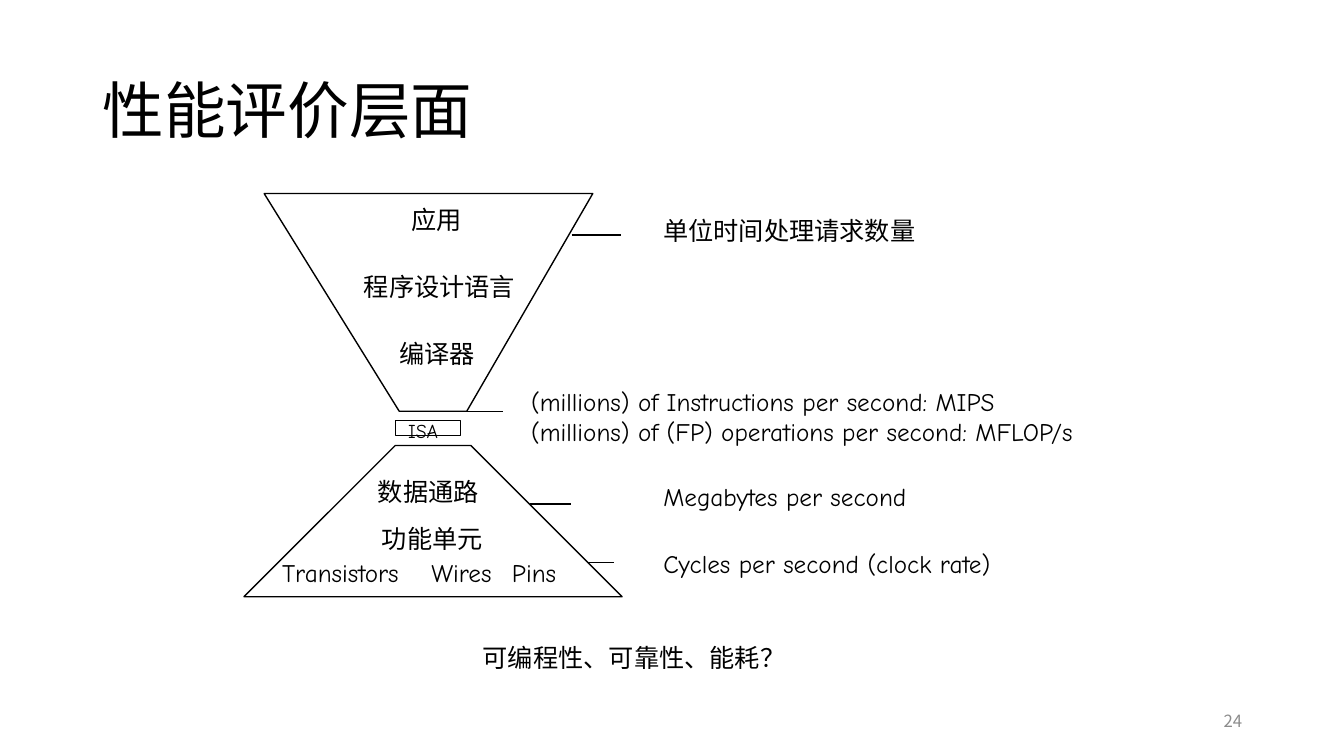
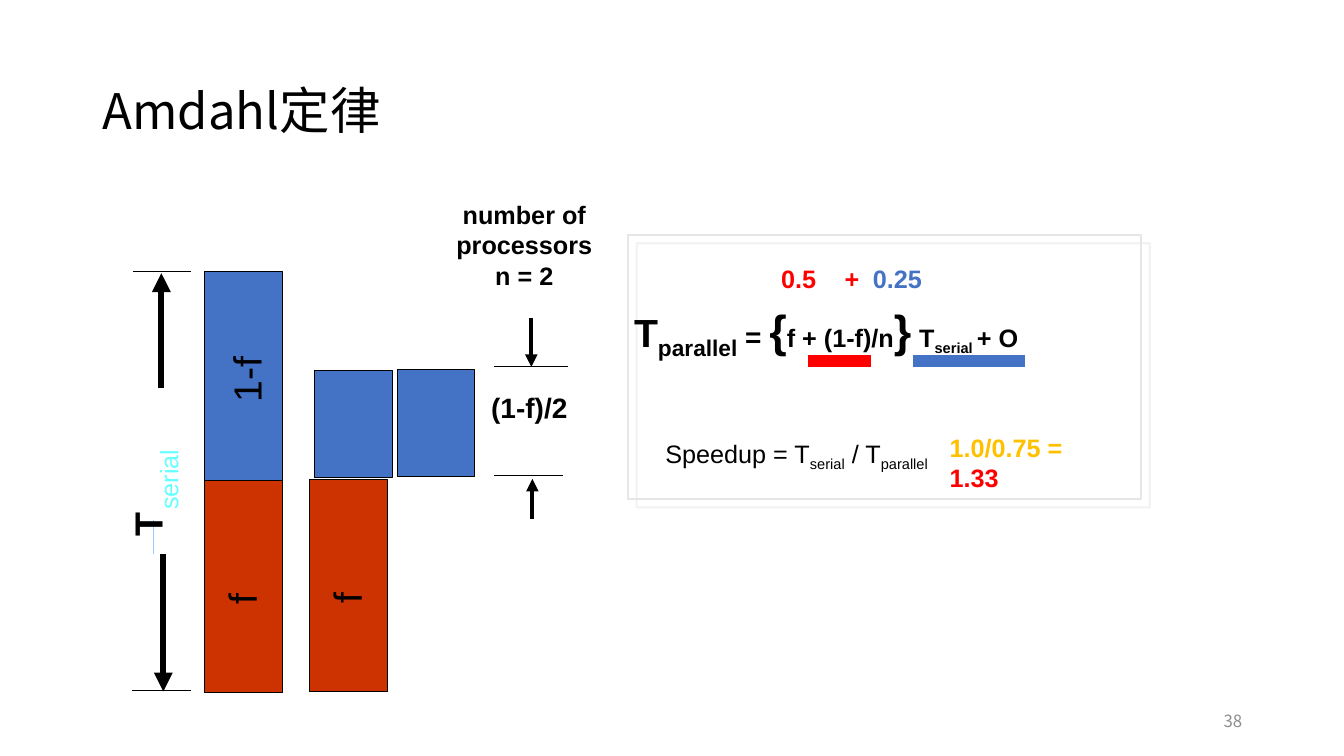
import pptx
import pptx.util
import pptx.dml.color
import pptx.enum.shapes
import pptx.enum.text
import pptx.oxml
import pptx.oxml.ns
from lxml import etree

Inches = pptx.util.Inches
Pt = pptx.util.Pt
qn = pptx.oxml.ns.qn
ALIGN = {
    "left": pptx.enum.text.PP_ALIGN.LEFT,
    "center": pptx.enum.text.PP_ALIGN.CENTER,
    "right": pptx.enum.text.PP_ALIGN.RIGHT,
}
BLACK, WHITE, GREY, PALE = "000000", "FFFFFF", "8C8C8C", "E7E6E6"
BLUE, RED, BRICK, GOLD = "4472C4", "FF0000", "CC3300", "FFC000"
CYAN, SKY = "66FFFF", "99CCFF"
CJK, COMIC, ARIAL = "Noto Sans CJK SC", "Comic Neue", "Arial"

LEVEL_OUTLINES = [
    [(3.92, 4.42), (2.42, 5.92), (6.17, 5.92), (4.67, 4.42)],
    [(3.96, 4.08), (2.62, 1.92), (5.88, 1.92), (4.63, 4.08)],
]
LEVEL_LABELS = [
    ("应用", 3.98, 1.98, 0.7),
    ("程序设计语言", 3.51, 2.64, 1.71),
    ("编译器", 3.86, 3.31, 0.96),
    ("数据通路", 3.65, 4.68, 1.21),
    ("功能单元", 3.69, 5.14, 1.21),
    ("Transistors", 2.7, 5.48, 1.56),
    ("Wires", 4.18, 5.48, 0.92),
    ("Pins", 4.98, 5.48, 0.66),
    ("单位时间处理请求数量", 6.48, 2.09, 2.72),
    ("Megabytes per second", 6.48, 4.73, 2.89),
    ("Cycles per second (clock rate)", 6.48, 5.39, 3.81),
]
RATES = [
    "(millions) of Instructions per second: MIPS",
    "(millions) of (FP) operations per second: MFLOP/s",
]
LEVEL_TICKS = [(5.67, 6.16, 2.33), (4.59, 4.99, 4.08), (5.26, 5.66, 5), (5.83, 6.09, 5.58)]

SUB = {"base": -25}
PARALLEL_TIME = [
    ("T", {"size": 28}), ("parallel", {"size": 28, **SUB}), (" = ", {"size": 20}),
    ("{", {"size": 32}), "f + (1-f)/n", ("}", {"size": 32}), (" ", {"size": 20}),
    "T", ("serial ", SUB), "+ O",
]
SPEEDUP = ["Speedup = T", ("serial", SUB), " / T", ("parallel", SUB)]
FORMULA_MARKS = [(8.01, 8.64, RED), (9.06, 10.17, BLUE)]
BAR_WIDTH = 0.77
BARS = [
    (2.03, 4.77, 2.1, BRICK), (2.03, 2.69, 2.08, BLUE), (3.07, 4.76, 2.1, BRICK),
    (3.12, 3.68, 1.06, BLUE), (3.94, 3.67, 1.06, BLUE),
]
UPRIGHT_LABELS = [
    ("f", (1.69, 5.71, 1.41, 0.47), {}),
    ("1-f", (2.21, 3.53, 0.46, 0.47), {}),
    ("T", (1.34, 4.97, 0.24, 0.47), {"bold": True}),
    ("serial", (1.37, 4.61, 0.6, 0.3), {"size": 18, "color": CYAN}),
    ("f", (2.73, 5.7, 1.41, 0.47), {}),
]
ARROWS = [(1.6, 3.85, 2.71, 4.5), (1.62, 5.5, 6.86, 4.5), (5.27, 3.15, 3.64, 3), (5.28, 5.15, 4.75, 3)]
EXTENT_TICKS = [(1.32, 1.89, 2.69), (1.31, 1.89, 6.85), (4.9, 5.63, 3.64), (4.9, 5.58, 4.72)]


def rgb(color):
    return pptx.dml.color.RGBColor.from_string(color)


def add_text(slide, paragraphs, at, *, font=ARIAL, size=18, color=BLACK, bold=False, base=0,
             align="left", middle=False, wrap=False, inset=True, spacing=None, turn=0, tabs=()):
    """Place paragraphs of runs; a run is a string or a (string, changes) pair."""
    box = slide.shapes.add_textbox(*map(Inches, at))
    box.rotation = turn
    frame = box.text_frame
    frame.word_wrap = wrap
    if middle:
        frame.vertical_anchor = pptx.enum.text.MSO_ANCHOR.MIDDLE
    else:
        frame.auto_size = pptx.enum.text.MSO_AUTO_SIZE.SHAPE_TO_FIT_TEXT
    if not inset:
        frame.margin_left = frame.margin_right = frame.margin_top = frame.margin_bottom = 0
    if isinstance(paragraphs, str):
        paragraphs = [[paragraphs]]
    for index, pieces in enumerate(paragraphs):
        paragraph = frame.add_paragraph() if index else frame.paragraphs[0]
        paragraph.alignment = ALIGN[align]
        if spacing:
            paragraph.line_spacing = spacing
        if tabs:
            stops = etree.SubElement(paragraph._p.get_or_add_pPr(), qn("a:tabLst"))
            for stop in tabs:
                etree.SubElement(stops, qn("a:tab"), pos=str(Inches(stop)), algn="l")
        for piece in pieces:
            words, changes = (piece, {}) if isinstance(piece, str) else piece
            look = {"size": size, "color": color, "bold": bold, "base": base, **changes}
            run = paragraph.add_run()
            run.text = words
            run.font.name = font
            run.font.size = Pt(look["size"])
            run.font.bold = look["bold"]
            run.font.color.rgb = rgb(look["color"])
            properties = run._r.get_or_add_rPr()
            if look["base"]:
                properties.set("baseline", str(look["base"] * 1000))
            east = etree.Element(qn("a:ea"), typeface=CJK)
            properties.find(qn("a:latin")).addnext(east)


def style_shape(shape, fill, line, width):
    shape.shadow.inherit = False
    if fill:
        shape.fill.solid()
        shape.fill.fore_color.rgb = rgb(fill)
    else:
        shape.fill.background()
    shape.line.color.rgb = rgb(line)
    shape.line.width = Pt(width)


def add_rect(slide, at, fill=None, line=BLACK, width=0.75):
    rect = slide.shapes.add_shape(pptx.enum.shapes.MSO_SHAPE.RECTANGLE, *map(Inches, at))
    style_shape(rect, fill, line, width)
    return rect


def add_outline(slide, points):
    corners = [(Inches(x), Inches(y)) for x, y in points]
    builder = slide.shapes.build_freeform(*corners[0])
    builder.add_line_segments(corners[1:], close=True)
    style_shape(builder.convert_to_shape(), WHITE, BLACK, 1)


def add_line(slide, start, end, color=BLACK, width=0.75, arrow=False):
    line = slide.shapes.add_connector(
        pptx.enum.shapes.MSO_CONNECTOR.STRAIGHT, *map(Inches, (*start, *end)))
    line.line.color.rgb = rgb(color)
    line.line.width = Pt(width)
    if arrow:
        etree.SubElement(line.line._get_or_add_ln(), qn("a:tailEnd"), type="triangle")
    etree.SubElement(line._element.spPr, qn("a:effectLst"))


def add_offset_shadow(shape, color, distance):
    effects = shape._element.spPr.find(qn("a:effectLst"))
    shadow = etree.SubElement(effects, qn("a:outerShdw"), dist=str(Pt(distance)),
                              dir="2700000", algn="ctr", rotWithShape="0")
    tone = etree.SubElement(shadow, qn("a:srgbClr"), val=color)
    etree.SubElement(tone, qn("a:alpha"), val="50000")


def new_slide(deck, title, number):
    slide = deck.slides.add_slide(deck.slide_layouts[6])
    slide.background.fill.solid()
    slide.background.fill.fore_color.rgb = rgb(WHITE)
    add_text(slide, [title], (0.92, 0.4, 11.5, 1.45), font=CJK, size=44,
             middle=True, wrap=True, spacing=0.9)
    add_text(slide, number, (9.42, 6.95, 3, 0.4), font=CJK, size=12, color=GREY,
             align="right", middle=True, wrap=True)
    return slide


def build_levels(deck):
    slide = new_slide(deck, ["性能评价层面"], "24")
    for points in LEVEL_OUTLINES:
        add_outline(slide, points)
    add_rect(slide, (3.92, 4.17, 0.65, 0.15), WHITE, width=1)
    add_text(slide, "ISA", (3.95, 4.11, 0.59, 0.33), font=COMIC, size=14)
    for label, left, top, width in LEVEL_LABELS:
        add_text(slide, label, (left, top, width, 0.4), font=COMIC)
    add_text(slide, [[rate] for rate in RATES], (5.17, 3.78, 6.16, 0.7), font=COMIC, wrap=True)
    for left, right, y in LEVEL_TICKS:
        add_line(slide, (left, y), (right, y), width=1)
    add_text(slide, "可编程性、可靠性、能耗？", (4.69, 6.32, 3.23, 0.4), font=CJK)


def build_amdahl(deck):
    slide = new_slide(deck, [("Amdahl", {"size": 35}), ("定律", {"size": 36})], "38")
    formula_frame = add_rect(slide, (6.23, 2.33, 5.09, 2.62), line=PALE, width=1.5)
    add_offset_shadow(formula_frame, PALE, 8.5)
    add_text(slide, [PARALLEL_TIME], (6.19, 2.95, 4.21, 0.64), bold=True)
    for left, right, color in FORMULA_MARKS:
        add_line(slide, (left, 3.58), (right, 3.58), color, 9)
    add_text(slide, [SPEEDUP], (6.5, 4.3, 2.92, 0.4))
    add_text(slide, [["0.5\t+\t", ("0.25", {"color": BLUE})]], (7.65, 2.56, 1.6, 0.4),
             color=RED, bold=True, tabs=(0.63, 0.91))
    add_text(slide, [["1.0/0.75 = ", ("1.33", {"color": RED})]], (9.32, 4.24, 1.87, 0.4),
             color=GOLD, bold=True)

    for left, top, height, color in BARS:
        add_rect(slide, (left, top, BAR_WIDTH, height), color)
    add_line(slide, (1.52, 5.16), (1.52, 5.5), SKY, 0.1)
    for label, at, changes in UPRIGHT_LABELS:
        add_text(slide, label, at, **{"size": 28, "align": "center", "inset": False,
                                      "turn": 270, **changes})
    for x, start, end, width in ARROWS:
        add_line(slide, (x, start), (x, end), width=width, arrow=True)
    for left, right, y in EXTENT_TICKS:
        add_line(slide, (left, y), (right, y))
    add_text(slide, "(1-f)/2", (4.77, 3.83, 0.96, 0.44), size=20, bold=True, align="center")
    add_text(slide, [["number of processors"], ["n = 2"]], (4.19, 1.93, 2.02, 1.01),
             bold=True, align="center", wrap=True)


def main():
    deck = pptx.Presentation()
    deck.slide_width = Inches(13.33)
    deck.slide_height = Inches(7.5)
    build_levels(deck)
    build_amdahl(deck)
    deck.save("out.pptx")


if __name__ == "__main__":
    main()
